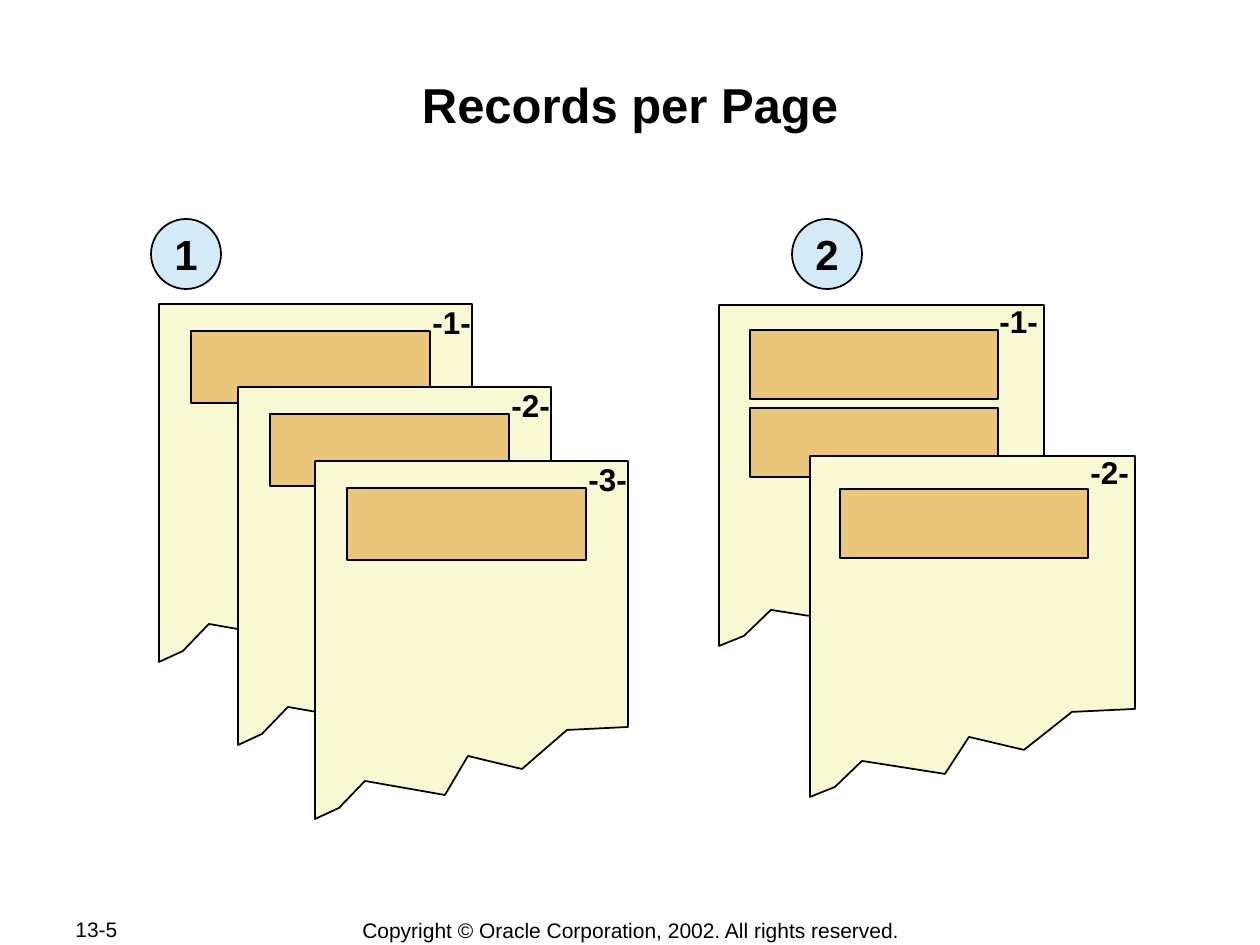
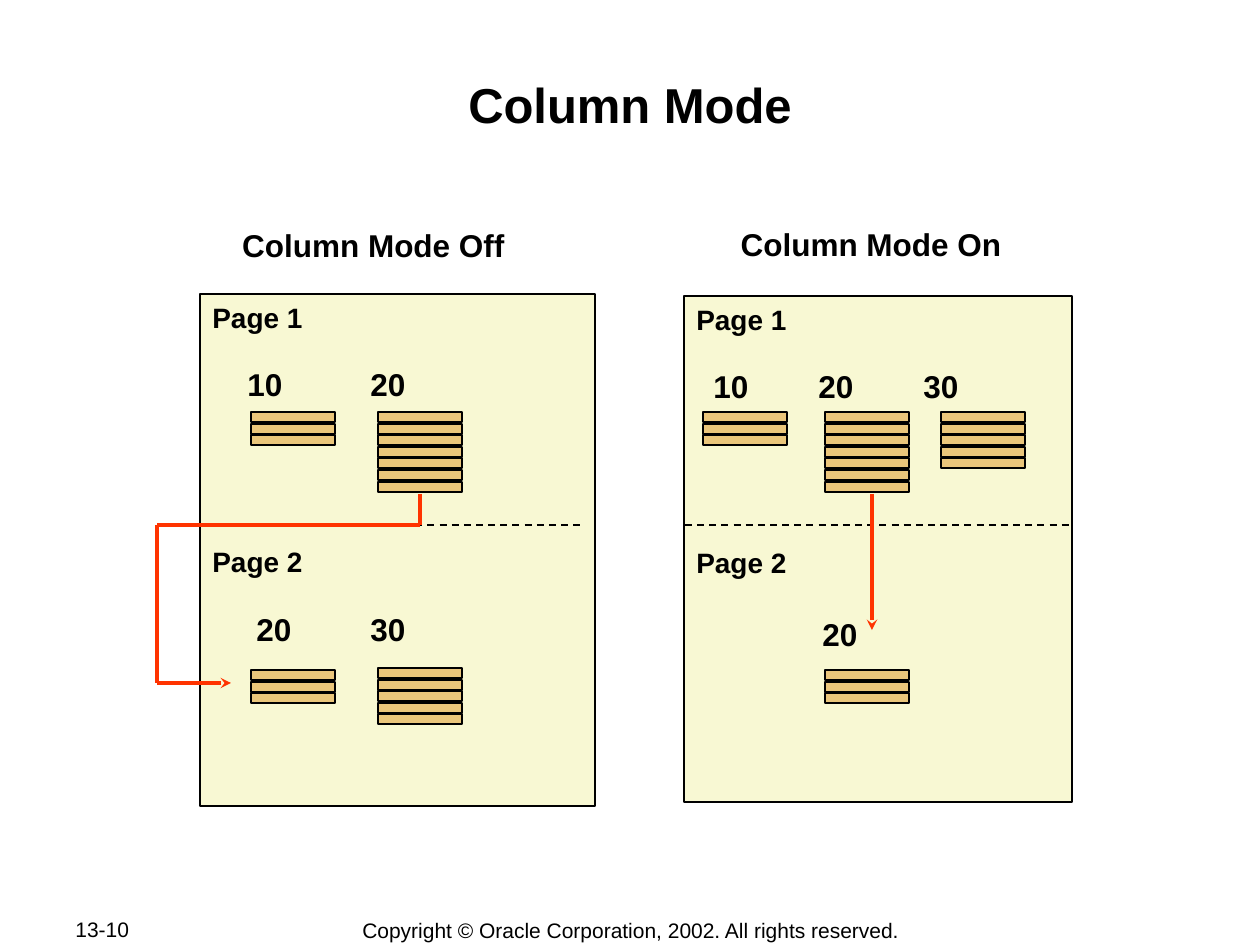
"""Build two slides on report layout: records per page and column mode."""
from lxml import etree
from pptx import Presentation
from pptx.dml.color import RGBColor
from pptx.enum.dml import MSO_LINE
from pptx.enum.shapes import MSO_CONNECTOR, MSO_SHAPE
from pptx.enum.text import MSO_ANCHOR, MSO_AUTO_SIZE, PP_ALIGN
from pptx.oxml.ns import qn
from pptx.util import Inches, Pt

SCALE = 914400 / 126
FONT = "Arial"
BLACK = RGBColor(0, 0, 0)
PAPER = RGBColor(0xF8, 0xF8, 0xD3)
RECORD = RGBColor(0xEA, 0xC6, 0x7B)
BADGE = RGBColor(0xD3, 0xEA, 0xF8)
FLOW = RGBColor(0xFF, 0x33, 0x00)
COPYRIGHT = "Copyright © Oracle Corporation, 2002. All rights reserved."
TORN_EDGE = [(0, 0), (1000, 0), (1000, 742), (806, 752), (660, 861), (488, 823),
             (415, 932), (161, 894), (77, 970)]


def px(*lengths):
    return [round(length * SCALE) for length in lengths]


def add_box(page, area, text="", size=18, bold=True, align=PP_ALIGN.CENTER,
            kind=None, fill=None):
    if kind is None:
        box = page.shapes.add_textbox(*px(*area))
    else:
        box = page.shapes.add_shape(kind, *px(*area))
        box.shadow.inherit = False
        box.fill.solid()
        box.fill.fore_color.rgb = fill
        box.line.color.rgb = BLACK
        box.line.width = Pt(1)
    if text:
        frame = box.text_frame
        frame.word_wrap = True
        frame.vertical_anchor = MSO_ANCHOR.MIDDLE
        para = frame.paragraphs[0]
        para.text = text
        para.alignment = align
        para.font.name = FONT
        para.font.size = Pt(size)
        para.font.bold = bold
        para.font.color.rgb = BLACK
    return box


deck = Presentation()
deck.slide_width, deck.slide_height = Inches(10), Inches(7.5)

for heading, number in [("Records per Page", "13-5"), ("Column Mode", "13-10")]:
    page = deck.slides.add_slide(deck.slide_layouts[5])
    add_box(page, (63, 917, 134, 25), number, 12, False, PP_ALIGN.LEFT)
    add_box(page, (348, 917, 566, 26), COPYRIGHT, 12, False)
    title = page.shapes.title
    title.left, title.top, title.width, title.height = px(126, 73, 1008, 121)
    frame = title.text_frame
    frame.auto_size = MSO_AUTO_SIZE.NONE
    frame.vertical_anchor = MSO_ANCHOR.TOP
    frame.margin_left = frame.margin_right = frame.margin_top = frame.margin_bottom = Inches(0.01)
    para = frame.paragraphs[0]
    para.text = heading
    para.alignment = PP_ALIGN.CENTER
    para.font.name = FONT
    para.font.size = Pt(28)
    para.font.bold = True
    para.font.color.rgb = BLACK

records_page, column_page = deck.slides

examples = [
    ("1", 151, (313, 358), (239, 72), (261, -7),
     [(159, 304, [(32, 27)]), (238, 387, [(32, 27)]), (315, 461, [(32, 27)])]),
    ("2", 792, (325, 341), (248, 69), (268, -9),
     [(719, 305, [(31, 25), (31, 103)]), (810, 456, [(30, 33)])]),
]
for badge, badge_left, (width, height), record_size, label_offset, sheets in examples:
    add_box(records_page, (badge_left, 219, 70, 70), badge, 24,
            kind=MSO_SHAPE.OVAL, fill=BADGE)
    for number, (left, top, records) in enumerate(sheets, 1):
        builder = records_page.shapes.build_freeform(left, top + height, scale=SCALE)
        builder.add_line_segments(
            [(left + x * width / 1000, top + y * height / 1000) for x, y in TORN_EDGE])
        sheet = builder.convert_to_shape()
        sheet.shadow.inherit = False
        sheet.fill.solid()
        sheet.fill.fore_color.rgb = PAPER
        sheet.line.color.rgb = BLACK
        sheet.line.width = Pt(1)
        for x, y in records:
            add_box(records_page, (left + x, top + y, *record_size),
                    kind=MSO_SHAPE.RECTANGLE, fill=RECORD)
        x, y = label_offset
        add_box(records_page, (left + x, top + y, 66, 50), f"-{number}-",
                align=PP_ALIGN.LEFT)

panels = [
    ("Column Mode Off", (228, 220, 291, 50), (200, 294, 395, 512),
     [("Page 1", 16, 0, []), ("\t10\t20", 18, 18, [35, 158]),
      ("Page 2", 16, 81, []), ("\t20\t30", 18, 18, [44, 158])],
     [(251, 412, 3), (378, 412, 7), (251, 670, 3), (378, 668, 5)]),
    ("Column Mode On", (699, 214, 344, 59), (684, 296, 388, 506),
     [("Page 1", 16, 0, []), ("\t10\t20\t30", 18, 18, [17, 122, 227]),
      ("Page 2", 16, 80, []), ("\t20", 18, 21, [126])],
     [(703, 412, 3), (825, 412, 7), (941, 412, 5), (825, 670, 3)]),
]
for heading, heading_area, panel_area, rows, stacks in panels:
    add_box(column_page, heading_area, heading)
    panel = add_box(column_page, panel_area, kind=MSO_SHAPE.RECTANGLE, fill=PAPER)
    frame = panel.text_frame
    frame.word_wrap = True
    frame.vertical_anchor = MSO_ANCHOR.TOP
    for index, (text, size, gap, stops) in enumerate(rows):
        para = frame.add_paragraph() if index else frame.paragraphs[0]
        para.text = text
        para.alignment = PP_ALIGN.LEFT
        if gap:
            para.space_before = Pt(gap)
        if stops:
            tabs = etree.SubElement(para._p.get_or_add_pPr(), qn("a:tabLst"))
            for stop in px(*stops):
                etree.SubElement(tabs, qn("a:tab"), pos=str(stop), algn="l")
        para.font.name = FONT
        para.font.size = Pt(size)
        para.font.bold = True
        para.font.color.rgb = BLACK
    for left, top, count in stacks:
        for row in range(count):
            add_box(column_page, (left, top + round(row * 11.6), 84, 10),
                    kind=MSO_SHAPE.RECTANGLE, fill=RECORD)

lines = [
    ((233, 525, 583, 525), BLACK, 1, True, False),
    ((685, 525, 1071, 525), BLACK, 1, True, False),
    ((420, 494, 420, 525), FLOW, 2, False, False),
    ((420, 525, 157, 525), FLOW, 2, False, False),
    ((157, 525, 157, 683), FLOW, 2, False, False),
    ((157, 683, 231, 683), FLOW, 2, False, True),
    ((872, 494, 872, 630), FLOW, 2, False, True),
]
for ends, color, weight, dashed, arrow in lines:
    connector = column_page.shapes.add_connector(MSO_CONNECTOR.STRAIGHT, *px(*ends))
    connector.line.color.rgb = color
    connector.line.width = Pt(weight)
    if dashed:
        connector.line.dash_style = MSO_LINE.DASH
    if arrow:
        etree.SubElement(connector.line._get_or_add_ln(), qn("a:tailEnd"), type="stealth")
    etree.SubElement(connector._element.spPr, qn("a:effectLst"))

deck.save("out.pptx")
